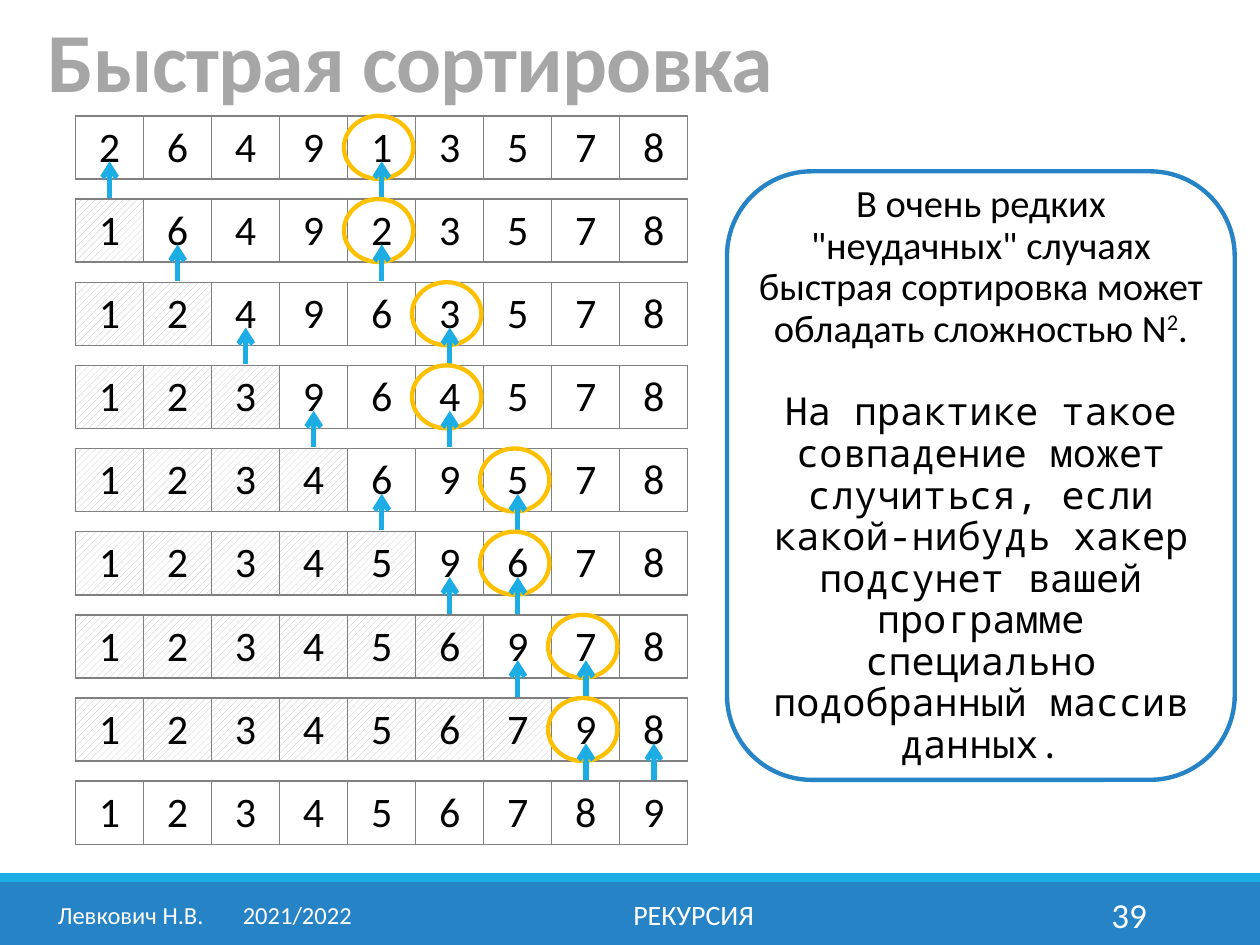
"""Build a slide that traces quicksort on nine numbers in an unlucky case."""
from lxml import etree
from pptx import Presentation, util as u
from pptx.dml.color import RGBColor
from pptx.enum import dml, shapes, text
from pptx.oxml.ns import qn

BLUE = RGBColor(0x26, 0x83, 0xC6)
CYAN = RGBColor(0x1C, 0xAD, 0xE4)
GOLD = RGBColor(0xFF, 0xC0, 0x00)
GREY = RGBColor(0xA6, 0xA6, 0xA6)
HATCH = RGBColor(0xBF, 0xBF, 0xBF)
WHITE = RGBColor(0xFF, 0xFF, 0xFF)
BLACK = RGBColor(0x00, 0x00, 0x00)
BORDER = "808080"

deck = Presentation()
deck.slide_width, deck.slide_height = u.Inches(10), u.Inches(7.5)
slide = deck.slides.add_slide(deck.slide_layouts[6])


def add_run(paragraph, words, size, color, face="Calibri"):
    run = paragraph.add_run()
    run.text = words
    run.font.size, run.font.name = u.Pt(size), face
    run.font.color.rgb = color
    return run


def add_outline(kind, box, fill=None, line=None):
    outline = slide.shapes.add_shape(kind, *map(u.Inches, box))
    outline.shadow.inherit = False
    if fill is None:
        outline.fill.background()
    else:
        outline.fill.solid()
        outline.fill.fore_color.rgb = fill
    if line is None:
        outline.line.fill.background()
    else:
        outline.line.color.rgb = line
        outline.line.width = u.Pt(2.5)
    return outline


add_outline(shapes.MSO_SHAPE.RECTANGLE, (0, 7, 10, 0.5), BLUE)
add_outline(shapes.MSO_SHAPE.RECTANGLE, (0, 6.93, 10, 0.07), CYAN)

labels = [
    ("Быстрая сортировка", (0.28, 0, 9.45, 0.92), 48, GREY, text.PP_ALIGN.LEFT),
    ("Левкович Н.В.\t2021/2022", (0.32, 7.06, 2.61, 0.4), 14, WHITE, text.PP_ALIGN.CENTER),
    ("РЕКУРСИЯ", (3.02, 7.06, 4.97, 0.4), 16, WHITE, text.PP_ALIGN.CENTER),
    ("39", (8.12, 7.06, 1.08, 0.4), 20, WHITE, text.PP_ALIGN.RIGHT),
]
for words, box, size, color, align in labels:
    frame = slide.shapes.add_textbox(*map(u.Inches, box)).text_frame
    frame.word_wrap = True
    frame.vertical_anchor = text.MSO_ANCHOR.MIDDLE
    paragraph = frame.paragraphs[0]
    paragraph.alignment = align
    run = add_run(paragraph, words, size, color)
    if color == GREY:
        frame.vertical_anchor = text.MSO_ANCHOR.BOTTOM
        paragraph.line_spacing = 0.85
        run.font.bold = True
        run._r.get_or_add_rPr().set("spc", "-50")
    if "\t" in words:
        stops = etree.SubElement(paragraph._p.get_or_add_pPr(), qn("a:tabLst"))
        etree.SubElement(stops, qn("a:tab"), pos=str(u.Inches(1.47)), algn="l")

remark = add_outline(shapes.MSO_SHAPE.ROUNDED_RECTANGLE, (5.77, 1.36, 4.03, 4.83), line=BLUE).text_frame
remark.word_wrap = True
remark.vertical_anchor = text.MSO_ANCHOR.MIDDLE
remark.margin_left = remark.margin_right = u.Inches(0.04)
warning, reason = remark.paragraphs[0], remark.add_paragraph()
for paragraph in (warning, reason):
    paragraph.alignment = text.PP_ALIGN.CENTER
    paragraph.line_spacing = 0.9
reason.space_before = u.Pt(24)
add_run(warning, 'В очень редких "неудачных" случаях быстрая сортировка может обладать сложностью N', 22, BLACK)
add_run(warning, "2", 22, BLACK)._r.get_or_add_rPr().set("baseline", "30000")
add_run(warning, ".", 22, BLACK)
add_run(reason, "На практике такое совпадение может случиться, если какой-нибудь хакер подсунет "
        "вашей программе специально подобранный массив данных.", 22, BLACK, "Noto Sans Mono")

LEFT, TOP, COL, ROW, CELL = 0.6, 0.92, 0.54, 0.66, 0.5
numbers = [2, 6, 4, 9, 1, 3, 5, 7, 8]
swap_partners = [4, 4, 5, 5, 6, 6, 7, 8]

for step in range(len(numbers)):
    top = TOP + step * ROW
    last = step == len(swap_partners)
    table = slide.shapes.add_table(
        1, len(numbers), u.Inches(LEFT), u.Inches(top),
        u.Inches(COL * len(numbers)), u.Inches(CELL)).table
    table.first_row = table.horz_banding = False
    for place, number in enumerate(numbers):
        table.columns[place].width = u.Inches(COL)
        cell = table.cell(0, place)
        paragraph = cell.text_frame.paragraphs[0]
        paragraph.alignment = text.PP_ALIGN.CENTER
        add_run(paragraph, str(number), 24, BLACK)
        if place < step and not last:
            cell.fill.patterned()
            cell.fill.pattern = dml.MSO_PATTERN.WIDE_UPWARD_DIAGONAL
            cell.fill.fore_color.rgb, cell.fill.back_color.rgb = HATCH, WHITE
        else:
            cell.fill.solid()
            cell.fill.fore_color.rgb = WHITE
        for order, side in enumerate(("lnL", "lnR", "lnT", "lnB")):
            edge = etree.Element(qn("a:" + side), w=str(u.Pt(1)))
            paint = etree.SubElement(edge, qn("a:solidFill"))
            etree.SubElement(paint, qn("a:srgbClr"), val=BORDER)
            cell._tc.get_or_add_tcPr().insert(order, edge)
    if last:
        break

    pivot = 4 + step // 2
    add_outline(shapes.MSO_SHAPE.OVAL, (LEFT + pivot * COL - 0.03, top, 0.55, CELL), line=GOLD)
    partner = swap_partners[step]
    for place in (step, partner):
        x = u.Inches(LEFT + (place + 0.5) * COL)
        arrow = slide.shapes.add_connector(
            shapes.MSO_CONNECTOR.STRAIGHT, x, u.Inches(top + 0.65), x, u.Inches(top + 0.36))
        arrow.line.color.rgb = CYAN
        arrow.line.width = u.Pt(3)
        etree.SubElement(arrow.line._get_or_add_ln(), qn("a:tailEnd"), type="arrow")
        etree.SubElement(arrow._element.spPr, qn("a:effectLst"))
    numbers[step], numbers[partner] = numbers[partner], numbers[step]

deck.save("out.pptx")
